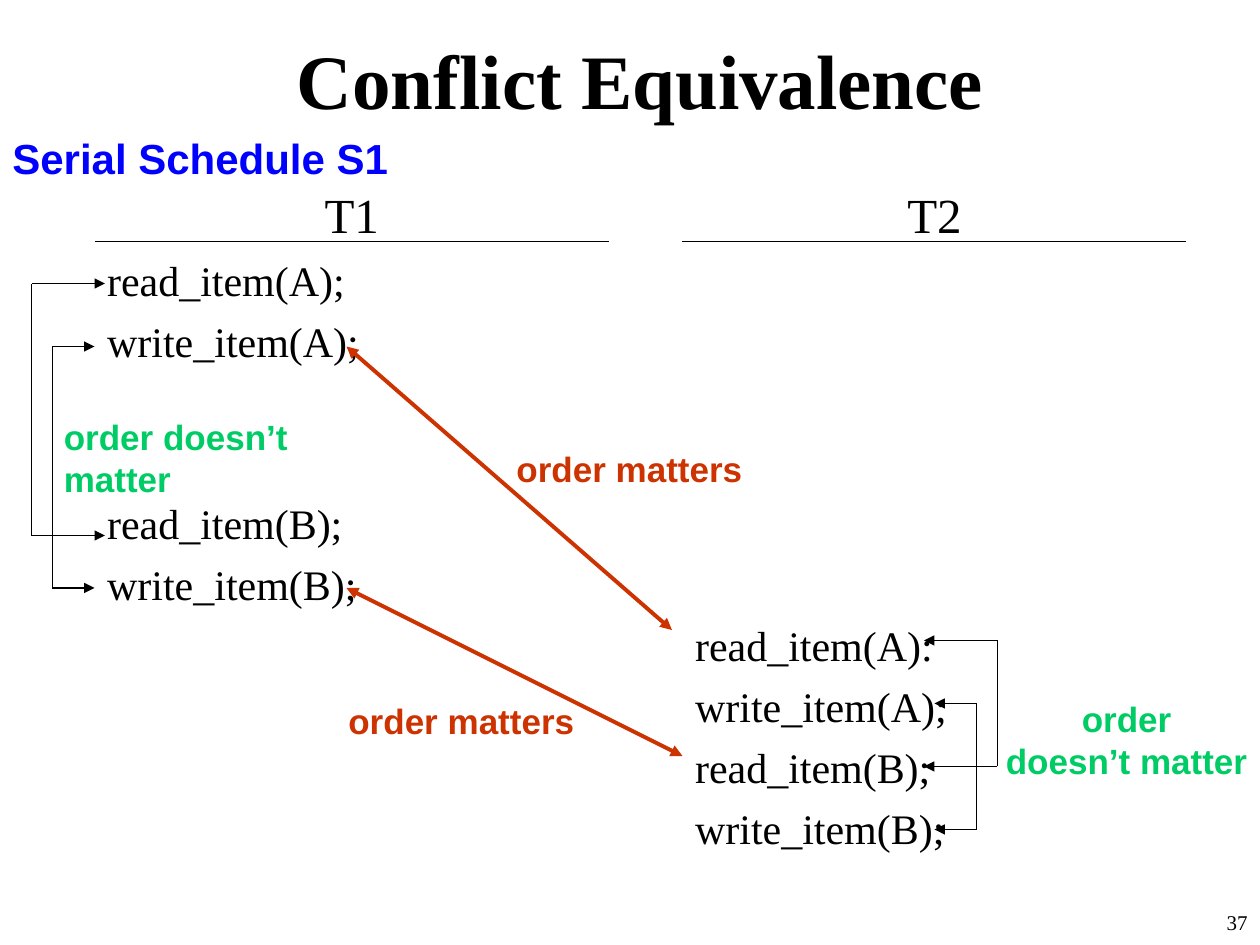
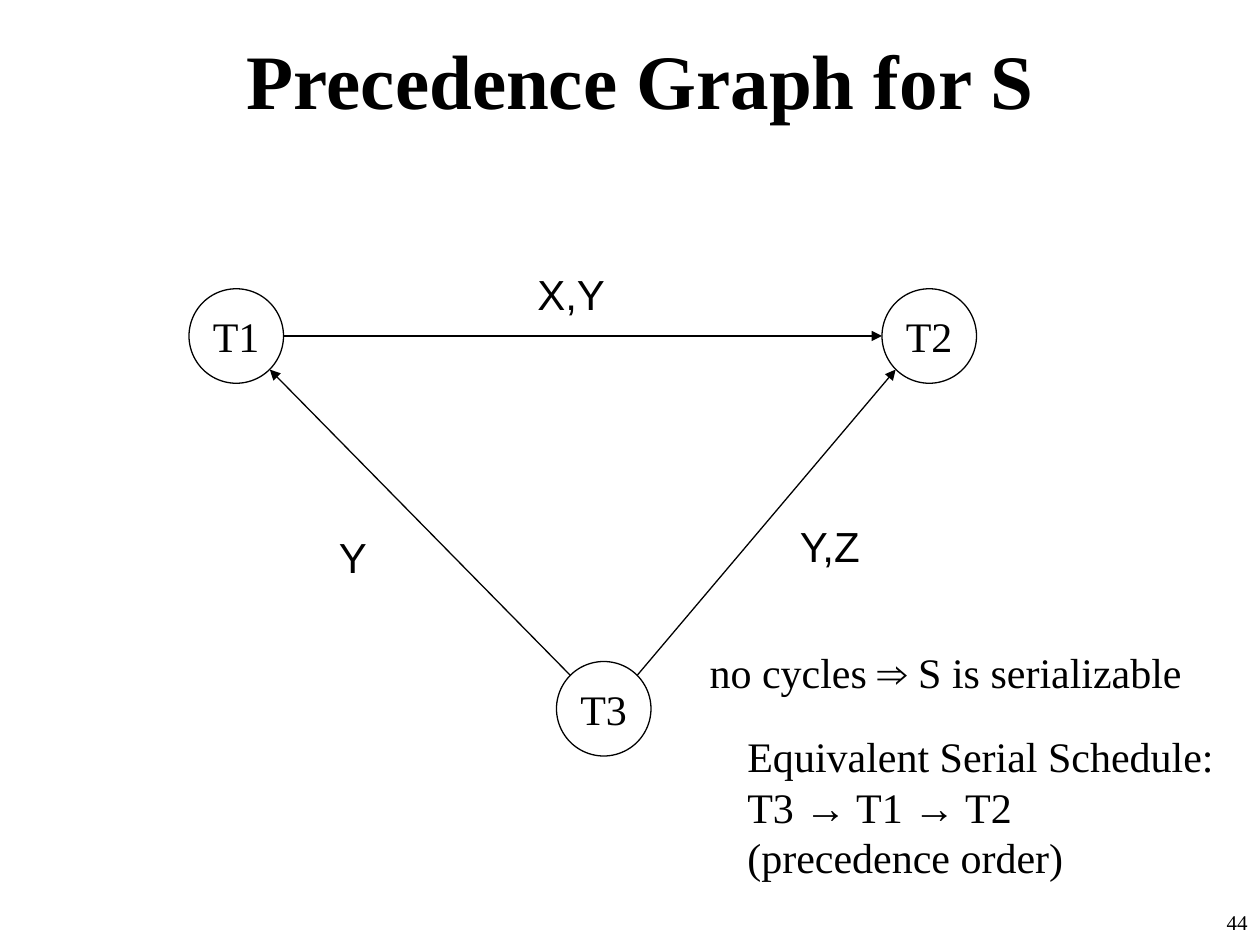
import itertools
import math

import pptx
import pptx.dml.color
import pptx.enum.shapes
import pptx.enum.text
import pptx.oxml.ns
import pptx.util
from lxml import etree

PX = 7620  # EMU per px, 120 px to the inch
SERIF, SANS = "Times New Roman", "Arial"
BLACK, WHITE, BLUE, RED, GREEN = "000000", "FFFFFF", "0000FF", "CC3300", "00CC66"
ALIGN = pptx.enum.text.PP_ALIGN
ANCHOR = pptx.enum.text.MSO_ANCHOR
FIT = pptx.enum.text.MSO_AUTO_SIZE
LINE_FACTOR = 1.2  # line height relative to the text size
ROW_SPACE = 6      # points before each schedule row
ROW_SIZE = 24
TWO_CONTENT, TITLE_ONLY = 3, 5


def color(hex_string):
    return pptx.dml.color.RGBColor.from_string(hex_string)


def px(*lengths):
    return [pptx.util.Emu(round(length * PX)) for length in lengths]


def add_xml(parent, tag, **attributes):
    return etree.SubElement(parent, pptx.oxml.ns.qn(tag), attributes)


class Deck:
    """Holds the shared style and the slide being built."""

    def __init__(self):
        self.presentation = pptx.Presentation()
        self.presentation.slide_width, self.presentation.slide_height = px(1200, 900)
        self.slide = None

    def new_slide(self, layout, title, number):
        self.slide = self.presentation.slides.add_slide(
            self.presentation.slide_layouts[layout])
        shape = self.place(self.slide.shapes.title, 50, 0, 1120, 150)
        shape.text_frame.vertical_anchor = ANCHOR.MIDDLE
        self.set_text(shape.text_frame.paragraphs[0], title, 44, bold=True, align=ALIGN.CENTER)
        self.text([number], 950, 860, 250, 60, size=12, align=ALIGN.RIGHT, wrap=True)

    def place(self, shape, left, top, width, height):
        shape.left, shape.top, shape.width, shape.height = px(left, top, width, height)
        shape.text_frame.auto_size = FIT.NONE
        return shape

    def set_text(self, paragraph, text, size, font=SERIF, ink=BLACK, bold=False,
                 align=ALIGN.LEFT):
        paragraph.alignment = align
        paragraph.line_spacing = pptx.util.Pt(round(size * LINE_FACTOR, 1))
        paragraph.font.name = font
        paragraph.font.size = pptx.util.Pt(size)
        paragraph.font.bold = bold
        paragraph.font.color.rgb = color(ink)
        # Arrow symbols take the sans font
        for is_arrow, letters in itertools.groupby(text, lambda letter: letter in "→⇒"):
            run = paragraph.add_run()
            run.text = "".join(letters)
            if is_arrow:
                run.font.name = SANS

    def text(self, lines, left, top, width, height, size=24, wrap=False, **style):
        shape = self.slide.shapes.add_textbox(*px(left, top, width, height))
        frame = shape.text_frame
        frame.word_wrap = wrap
        frame.auto_size = FIT.NONE if wrap else FIT.SHAPE_TO_FIT_TEXT
        for index, line in enumerate(lines):
            paragraph = frame.add_paragraph() if index else frame.paragraphs[0]
            self.set_text(paragraph, line, size, **style)

    def schedule(self, placeholder, heading, rows, left, top, width, height):
        """Fill a column; rows are (empty rows above, operation)."""
        frame = self.place(self.slide.placeholders[placeholder],
                           left, top, width, height).text_frame
        paragraph = frame.paragraphs[0]
        self.set_text(paragraph, heading, 28, align=ALIGN.CENTER)
        paragraph.space_before = pptx.util.Pt(7)
        pitch = ROW_SIZE * LINE_FACTOR + ROW_SPACE
        for skipped, operation in rows:
            paragraph = frame.add_paragraph()
            self.set_text(paragraph, operation, ROW_SIZE)
            paragraph.space_before = pptx.util.Pt(round(ROW_SPACE + skipped * pitch, 1))
        for paragraph in frame.paragraphs:
            properties = paragraph._p.get_or_add_pPr()
            properties.set("marL", "0")
            properties.set("indent", "0")
            bullet = etree.Element(pptx.oxml.ns.qn("a:buNone"))
            properties.find(pptx.oxml.ns.qn("a:defRPr")).addprevious(bullet)
        self.line((left, 230), (left + width, 230))

    def line(self, start, end, ink=BLACK, weight=0.75, head=False, tail=False, shapes=None):
        shapes = self.slide.shapes if shapes is None else shapes
        connector = shapes.add_connector(
            pptx.enum.shapes.MSO_CONNECTOR.STRAIGHT, *px(*start, *end))
        connector.line.color.rgb = color(ink)
        connector.line.width = pptx.util.Pt(weight)
        outline = connector.line._get_or_add_ln()
        for tag, wanted in (("a:headEnd", head), ("a:tailEnd", tail)):
            if wanted:
                add_xml(outline, tag, type="triangle")
        add_xml(connector._element.spPr, "a:effectLst")

    def bracket(self, tip, spine, top, bottom):
        """Join two rows by a spine with an arrow at each end."""
        shapes = self.slide.shapes.add_group_shape().shapes
        self.line((tip, top), (spine, top), head=True, shapes=shapes)
        self.line((spine, top), (spine, bottom), shapes=shapes)
        self.line((spine, bottom), (tip, bottom), tail=True, shapes=shapes)

    def node(self, name, center, radius):
        x, y = center
        shape = self.slide.shapes.add_shape(
            pptx.enum.shapes.MSO_SHAPE.OVAL,
            *px(x - radius, y - radius, 2 * radius, 2 * radius))
        shape.shadow.inherit = False
        shape.fill.solid()
        shape.fill.fore_color.rgb = color(WHITE)
        shape.line.color.rgb = color(BLACK)
        shape.line.width = pptx.util.Pt(0.75)
        frame = shape.text_frame
        frame.word_wrap = False
        frame.vertical_anchor = ANCHOR.MIDDLE
        self.set_text(frame.paragraphs[0], name, 24, align=ALIGN.CENTER)


def conflict_equivalence(deck):
    deck.new_slide(TWO_CONTENT, "Conflict Equivalence", "37")

    # Schedule columns with their heading rules
    deck.schedule(1, "T1", [(0, "read_item(A);"), (0, "write_item(A);"),
                            (2, "read_item(B);"), (0, "write_item(B);")],
                  90, 170, 490, 590)
    deck.schedule(2, "T2", [(6, "read_item(A):"), (0, "write_item(A);"),
                            (0, "read_item(B);"), (0, "write_item(B);")],
                  650, 170, 480, 680)

    # Conflicting operations
    for start, end in (((330, 330), (640, 600)), ((650, 720), (330, 560))):
        deck.line(start, end, ink=RED, weight=2.25, head=True, tail=True)

    # Operations that may be swapped
    for tip, spine, top, bottom in ((90, 50, 330, 560), (100, 30, 270, 510),
                                    (890, 930, 670, 790), (880, 950, 610, 730)):
        deck.bracket(tip, spine, top, bottom)

    # Labels
    deck.text(["Serial Schedule S1"], 0, 120, 382, 60, font=SANS, ink=BLUE, bold=True)
    label = {"size": 20, "font": SANS, "bold": True}
    for left, top in ((480, 420), (320, 660)):
        deck.text(["order matters"], left, top, 239, 53, ink=RED, **label)
    deck.text(["order doesn’t matter"], 49, 390, 348, 53, ink=GREEN, **label)
    deck.text(["order", "doesn’t matter"], 946, 658, 254, 92, ink=GREEN,
              align=ALIGN.CENTER, **label)


def precedence_graph(deck):
    deck.new_slide(TITLE_ONLY, "Precedence Graph for S", "44")

    # Transactions
    radius = 45
    centers = {"T1": (225, 320), "T2": (885, 320), "T3": (575, 675)}
    for name, center in centers.items():
        deck.node(name, center, radius)

    # Edges, each end given by its angle on the circle
    def rim(name, degrees):
        x, y = centers[name]
        angle = math.radians(degrees)
        return round(x + radius * math.cos(angle)), round(y + radius * math.sin(angle))

    for source, leaving, target, entering in (("T1", 0, "T2", 180), ("T3", 225, "T1", 45),
                                              ("T3", 315, "T2", 135)):
        deck.line(rim(source, leaving), rim(target, entering), tail=True)

    # Edge labels
    for items, left, top, width in (("X,Y", 500, 250, 89), ("Y", 311, 500, 50),
                                    ("Y,Z", 750, 490, 86)):
        deck.text([items], left, top, width, 60, font=SANS)

    # Conclusion
    deck.text(["Equivalent Serial Schedule:", "T3 → T1 → T2", "(precedence order)"],
              700, 690, 468, 156)
    deck.text(["no cycles ⇒ S is serializable"], 664, 610, 487, 60)


def main():
    deck = Deck()
    conflict_equivalence(deck)
    precedence_graph(deck)
    deck.presentation.save("out.pptx")


if __name__ == "__main__":
    main()
